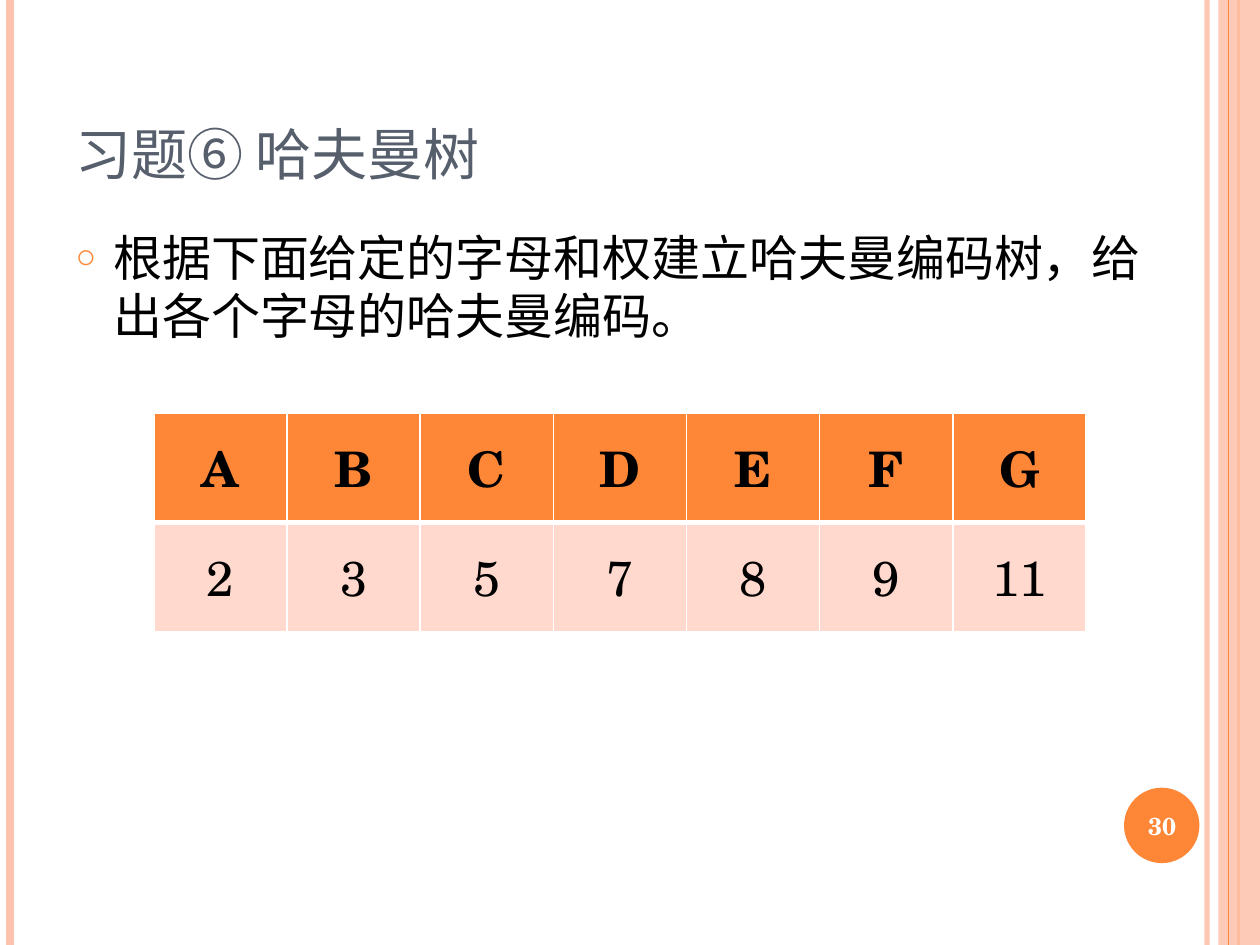
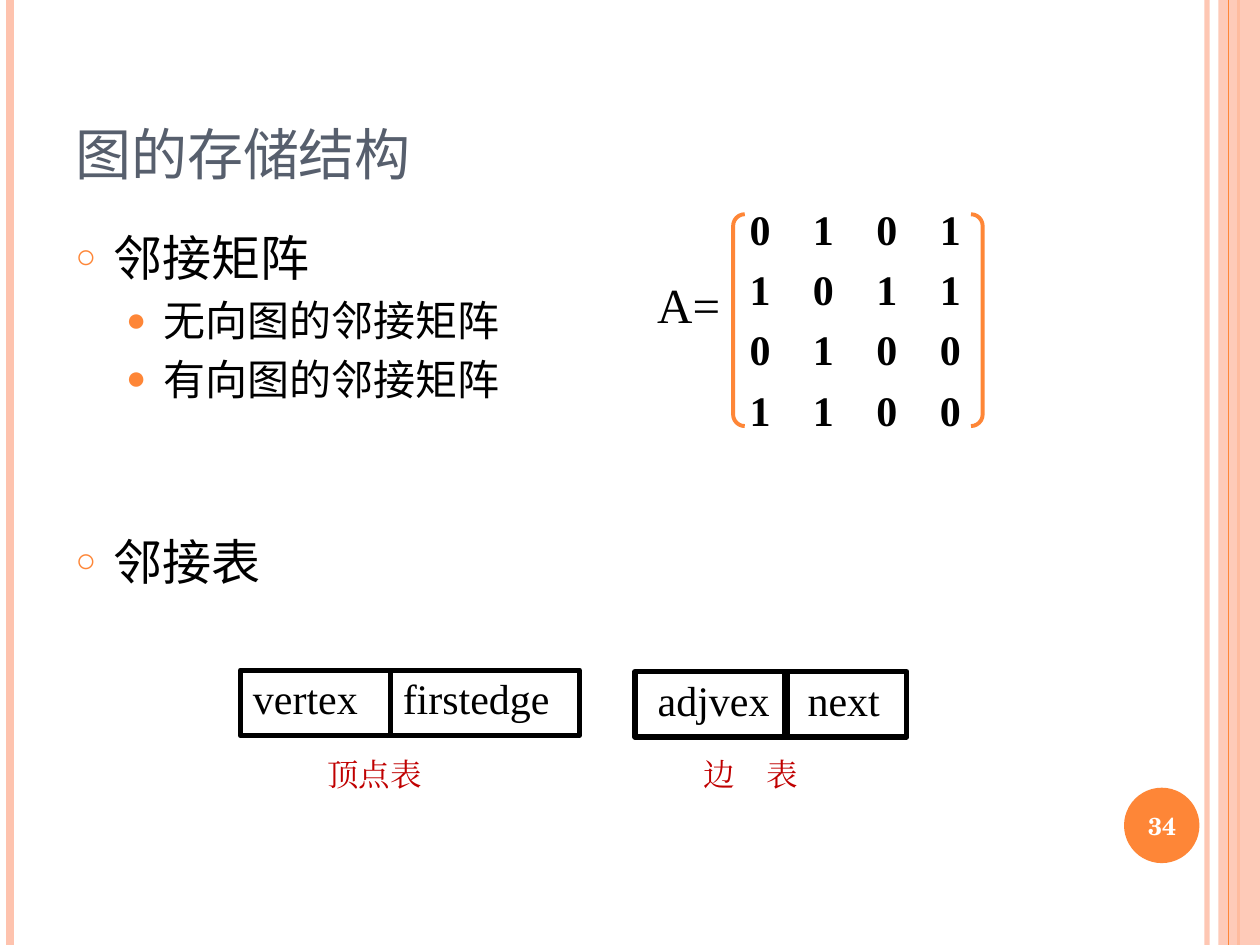
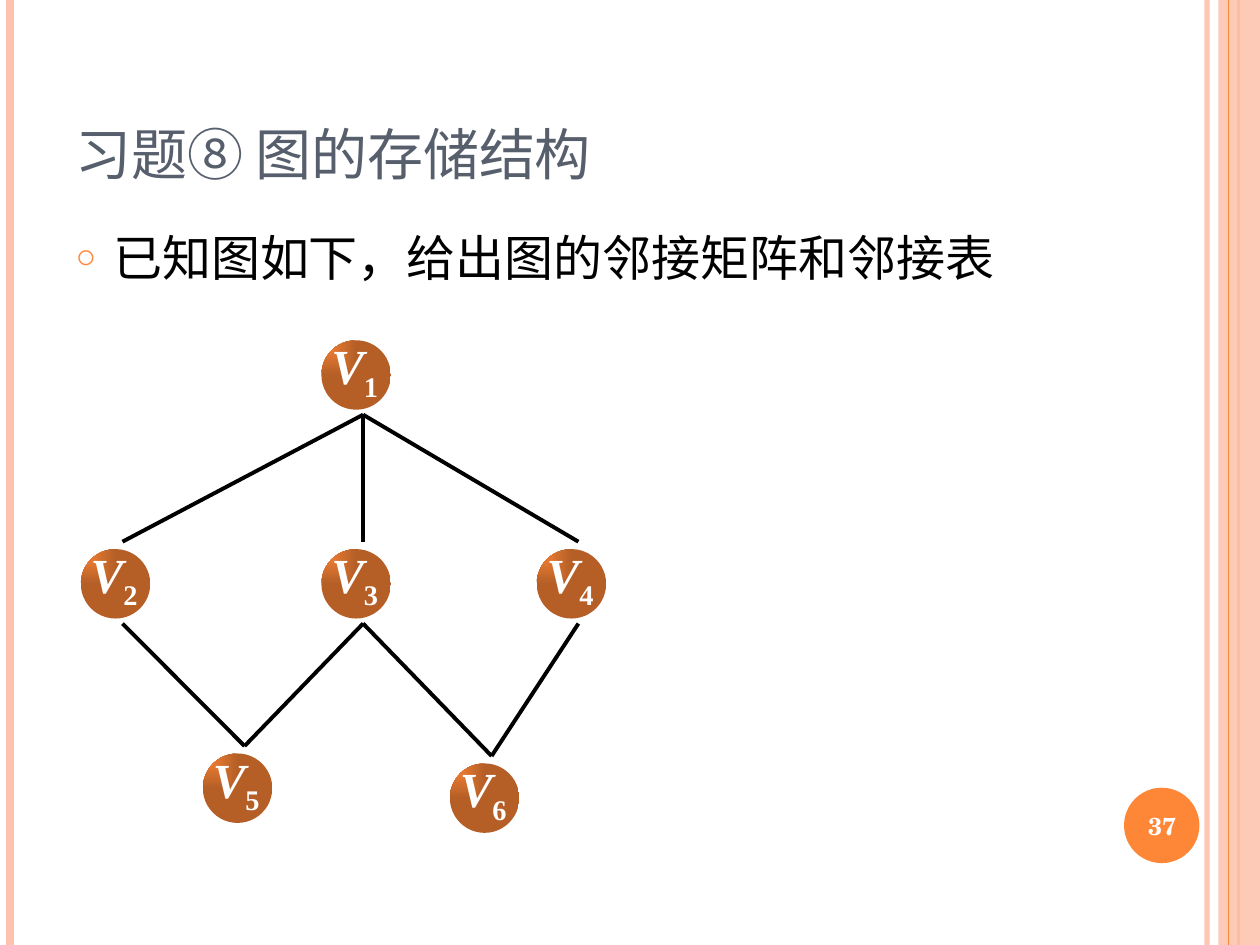
from lxml import etree
from pptx import Presentation
from pptx.dml.color import RGBColor
from pptx.enum.shapes import MSO_CONNECTOR, MSO_SHAPE
from pptx.enum.text import MSO_ANCHOR, MSO_AUTO_SIZE, PP_ALIGN
from pptx.oxml import parse_xml
from pptx.oxml.ns import nsdecls, qn
from pptx.util import Cm, Pt

LEFT, CENTER = PP_ALIGN.LEFT, PP_ALIGN.CENTER
TOP, MIDDLE, BOTTOM = MSO_ANCHOR.TOP, MSO_ANCHOR.MIDDLE, MSO_ANCHOR.BOTTOM
RECT, OVAL, BRACKET = MSO_SHAPE.RECTANGLE, MSO_SHAPE.OVAL, MSO_SHAPE.DOUBLE_BRACKET

ORANGE = RGBColor(0xFE, 0x86, 0x37)
PEACH = RGBColor(0xFE, 0xC3, 0xAE)
PALE = RGBColor(0xFF, 0xD9, 0xCE)
SLATE = RGBColor(0x57, 0x5F, 0x6D)
RED = RGBColor(0xC0, 0x00, 0x00)
BLACK = RGBColor(0, 0, 0)
WHITE = RGBColor(0xFF, 0xFF, 0xFF)
SANS, SERIF, ROMAN = "Noto Sans CJK SC", "TeX Gyre Schola", "Times New Roman"

# Content: lengths in cm; a bullet is (level, text, points before)
PAGES = [
    dict(title="习题⑥ 哈夫曼树", page="30", body=(22.43, 13.54), items=[
        (0, "根据下面给定的字母和权建立哈夫曼编码树，给出各个字母的哈夫曼编码。", 6)]),
    dict(title="图的存储结构", page="34", body=(20.75, 13.54), items=[
        (0, "邻接矩阵", 6),
        (1, "无向图的邻接矩阵", 4.8),
        (1, "有向图的邻接矩阵", 4.8),
        (0, "邻接表", 73)]),
    dict(title="习题⑧ 图的存储结构", page="37", body=(21.82, 1.88), items=[
        (0, "已知图如下，给出图的邻接矩阵和邻接表", 6)]),
]
WEIGHTS = [("A", "B", "C", "D", "E", "F", "G"), (2, 3, 5, 7, 8, 9, 11)]
MATRIX = [(0, 1, 0, 1), (1, 0, 1, 1), (0, 1, 0, 0), (1, 1, 0, 0)]
FIELDS = [  # name, left, top, width, left inset
    ("vertex", 4.85, 13.51, 3.02, 0.25),
    ("firstedge", 7.87, 13.51, 3.81, 0.25),
    ("adjvex", 12.8, 13.54, 3.07, 0.46),
    ("next", 15.82, 13.54, 2.46, 0.46)]
LABELS = [("顶点表", 6.35), ("边　表", 13.94)]
NODES = {1: (6.48, 6.86), 2: (1.63, 11.07), 3: (6.48, 11.07),
         4: (10.82, 11.07), 5: (4.09, 15.19), 6: (9.07, 15.39)}
EDGES = [(1, 2), (1, 3), (1, 4), (4, 6), (3, 5), (3, 6), (2, 5)]
BULLETS = [("○", 70, 28, 0.76), ("●", 80, 24, 1.78)]  # sign, %, size, indent


def add(parent, tag, **attrs):
    return etree.SubElement(parent, qn(tag), {k: str(v) for k, v in attrs.items()})


def style(para, face, size, color, bold=False):
    font = para.font
    font.size, font.bold, font.name = Pt(size), bold, face
    font.color.rgb = color
    rpr = para._p.pPr.find(qn("a:defRPr"))
    add(rpr, "a:ea", typeface=face)
    return rpr


def box(shapes, x, y, w, h, wrap=True, inset=(0.25, 0.13)):
    frame = shapes.add_textbox(Cm(x), Cm(y), Cm(w), Cm(h)).text_frame
    frame.word_wrap = wrap
    frame.margin_left = frame.margin_right = Cm(inset[0])
    frame.margin_top = frame.margin_bottom = Cm(inset[1])
    return frame


def form(shapes, kind, x, y, w, h, fill=None, line=None, width=0):
    shape = shapes.add_shape(kind, Cm(x), Cm(y), Cm(w), Cm(h))
    shape.shadow.inherit = False
    if fill is None:
        shape.fill.background()
    else:
        shape.fill.solid()
        shape.fill.fore_color.rgb = fill
    if line is None:
        shape.line.fill.background()
    else:
        shape.line.color.rgb, shape.line.width = line, Pt(width)
    return shape


def rule(shapes, start, end, color, width):
    ends = [Cm(v) for v in (*start, *end)]
    line = shapes.add_connector(MSO_CONNECTOR.STRAIGHT, *ends)
    line.line.color.rgb, line.line.width = color, Pt(width)
    add(line._element.spPr, "a:effectLst")
    return line


def fade(shape, pct):
    for color in shape._element.spPr.iter(qn("a:srgbClr")):
        add(color, "a:alpha", val=pct * 1000)


def stripe(shapes, x, color, width):
    return rule(shapes, (x, 0), (x, 19.05), color, width)


# Shared bands and page disc, moved from a slide to its layout
def frame_layout(slide):
    shapes = slide.shapes
    inner = stripe(shapes, 24.33, PEACH, 3)
    outer = stripe(shapes, 0.21, PEACH, 4.5)
    edge = stripe(shapes, 24.97, ORANGE, 1.5)
    band = form(shapes, RECT, 24.56, 0, 0.84, 19.05, PEACH)
    thin = stripe(shapes, 24.77, ORANGE, 0.75)
    disc = form(shapes, OVAL, 22.66, 15.88, 1.52, 1.52, ORANGE)
    fade(inner, 93)
    fade(band, 87)
    tree = slide.slide_layout.shapes._spTree
    for n, part in enumerate((inner, outer, edge, band, thin, disc)):
        item = part._element
        item.xpath(".//p:cNvPr")[0].set("id", str(90 + n))
        tree.insert(2 + n, item)


def place(holder, x, y, w, h):
    holder.left, holder.top, holder.width, holder.height = Cm(x), Cm(y), Cm(w), Cm(h)


# Title, bullets and page number
def fill_page(slide, data):
    title, body = slide.placeholders
    place(title, 1.27, 0.76, 20.75, 3.18)
    title.text_frame.text = data["title"]
    title.text_frame.vertical_anchor = BOTTOM
    title.text_frame.auto_size = MSO_AUTO_SIZE.NONE
    para = title.text_frame.paragraphs[0]
    para.alignment = LEFT
    style(para, SANS, 40, SLATE).set("cap", "small")

    place(body, 1.27, 4.45, *data["body"])
    frame = body.text_frame
    frame.auto_size = MSO_AUTO_SIZE.NONE
    frame.text = "\n".join(text for _, text, _ in data["items"])
    for para, (level, _, gap) in zip(frame.paragraphs, data["items"]):
        sign, pct, size, indent = BULLETS[level]
        para.level = level
        ppr = para._p.get_or_add_pPr()
        ppr.set("marL", str(Cm(indent)))
        ppr.set("indent", str(-Cm(0.76)))
        add(add(ppr, "a:buClr"), "a:srgbClr", val=ORANGE)
        add(ppr, "a:buSzPct", val=pct * 1000)
        add(ppr, "a:buChar", char=sign)
        para.space_before = Pt(gap)
        style(para, SERIF, size, BLACK)

    frame = box(slide.shapes, 22.58, 15.93, 1.7, 1.45)
    frame.text = data["page"]
    frame.vertical_anchor = MIDDLE
    frame.paragraphs[0].alignment = CENTER
    style(frame.paragraphs[0], SERIF, 14, WHITE, True)


def border(cell, widths):
    tcpr = cell._tc.get_or_add_tcPr()
    for side, width in zip("LRTB", widths):
        line = add(tcpr, f"a:ln{side}", w=Pt(width))
        add(add(line, "a:solidFill"), "a:srgbClr", val=WHITE)


def draw_weights(slide):
    rows, cols = len(WEIGHTS), len(WEIGHTS[0])
    table = slide.shapes.add_table(rows, cols, Cm(3.1), Cm(8.33),
                                   Cm(18.8), Cm(4.4)).table
    for r, row in enumerate(WEIGHTS):
        for c, value in enumerate(row):
            cell = table.cell(r, c)
            border(cell, (1, 1, 3, 1) if r else (1, 1, 1, 3))
            cell.fill.solid()
            cell.fill.fore_color.rgb = PALE if r else ORANGE
            cell.text = str(value)
            cell.vertical_anchor = MIDDLE
            para = cell.text_frame.paragraphs[0]
            para.alignment = CENTER
            style(para, SERIF, 28, BLACK, r == 0)


def draw_matrix(slide):
    shapes = slide.shapes.add_group_shape().shapes
    pair = form(shapes, BRACKET, 14.78, 4.32, 5.03, 4.27, line=ORANGE, width=2.25)
    pair.adjustments[0] = 0.055
    name = box(shapes, 13, 5.41, 1.8, 1.45, wrap=False)
    name.text = "A="
    style(name.paragraphs[0], ROMAN, 28, BLACK)
    grid = box(shapes, 15.11, 3.86, 4.27, 4.72, inset=(0, 0.03))
    grid.text = "\n".join("\t".join(map(str, row)) for row in MATRIX)
    for para in grid.paragraphs:
        tabs = add(para._p.get_or_add_pPr(), "a:tabLst")
        for n in range(1, len(MATRIX)):
            add(tabs, "a:tab", pos=Cm(1.28 * n), algn="l")
        para.line_spacing = 1.2
        style(para, ROMAN, 24, BLACK, True)


def draw_records(slide):
    for name, x, y, w, inset in FIELDS:
        frame = form(slide.shapes, RECT, x, y, w, 1.32, line=BLACK, width=3).text_frame
        frame.margin_left, frame.margin_right = Cm(inset), Cm(0)
        frame.margin_top, frame.margin_bottom = Cm(0.05), Cm(0.03)
        frame.vertical_anchor = TOP
        frame.text = name
        frame.paragraphs[0].alignment = LEFT
        style(frame.paragraphs[0], ROMAN, 24, BLACK)
    for text, x in LABELS:
        frame = box(slide.shapes, x, 15.09, 3, 1.02, wrap=False)
        frame.text = text
        style(frame.paragraphs[0], ROMAN, 18, RED)


def shade(shape):
    stops = "".join(
        f'<a:gs pos="{pos}"><a:srgbClr val="{ORANGE}">{tone}</a:srgbClr></a:gs>'
        for pos, tone in ((0, ""), (100000, '<a:shade val="46275"/>')))
    grad = parse_xml(
        f'<a:gradFill {nsdecls("a")} rotWithShape="1"><a:gsLst>{stops}</a:gsLst>'
        '<a:path path="rect"><a:fillToRect r="100000" b="100000"/></a:path></a:gradFill>')
    props = shape._element.spPr
    props.replace(props.find(qn("a:noFill")), grad)


def draw_graph(slide):
    for num, (x, y) in NODES.items():
        shapes = slide.shapes.add_group_shape().shapes
        shade(form(shapes, OVAL, x, y, 1.4, 1.4))
        frame = box(shapes, x + 0.18, y - 0.14, 1.3, 1.65, inset=(0.02, 0.05))
        para = frame.paragraphs[0]
        style(para, ROMAN, 28, WHITE, True)
        name, sub = para.add_run(), para.add_run()
        name.text, sub.text = "V", str(num)
        name.font.italic = True
        sub._r.get_or_add_rPr().set("baseline", "-25000")
    for top, low in EDGES:
        (x1, y1), (x2, y2) = NODES[top], NODES[low]
        rule(slide.shapes, (x1 + 0.84, y1 + 1.5), (x2 + 0.84, y2 - 0.15), BLACK, 2.25)


def main():
    deck = Presentation()
    deck.slide_width, deck.slide_height = Cm(25.4), Cm(19.05)
    slides = [deck.slides.add_slide(deck.slide_layouts[1]) for _ in PAGES]
    frame_layout(slides[0])
    for slide, data in zip(slides, PAGES):
        fill_page(slide, data)
    draw_weights(slides[0])
    draw_records(slides[1])
    draw_matrix(slides[1])
    draw_graph(slides[2])
    deck.save("out.pptx")


if __name__ == "__main__":
    main()
